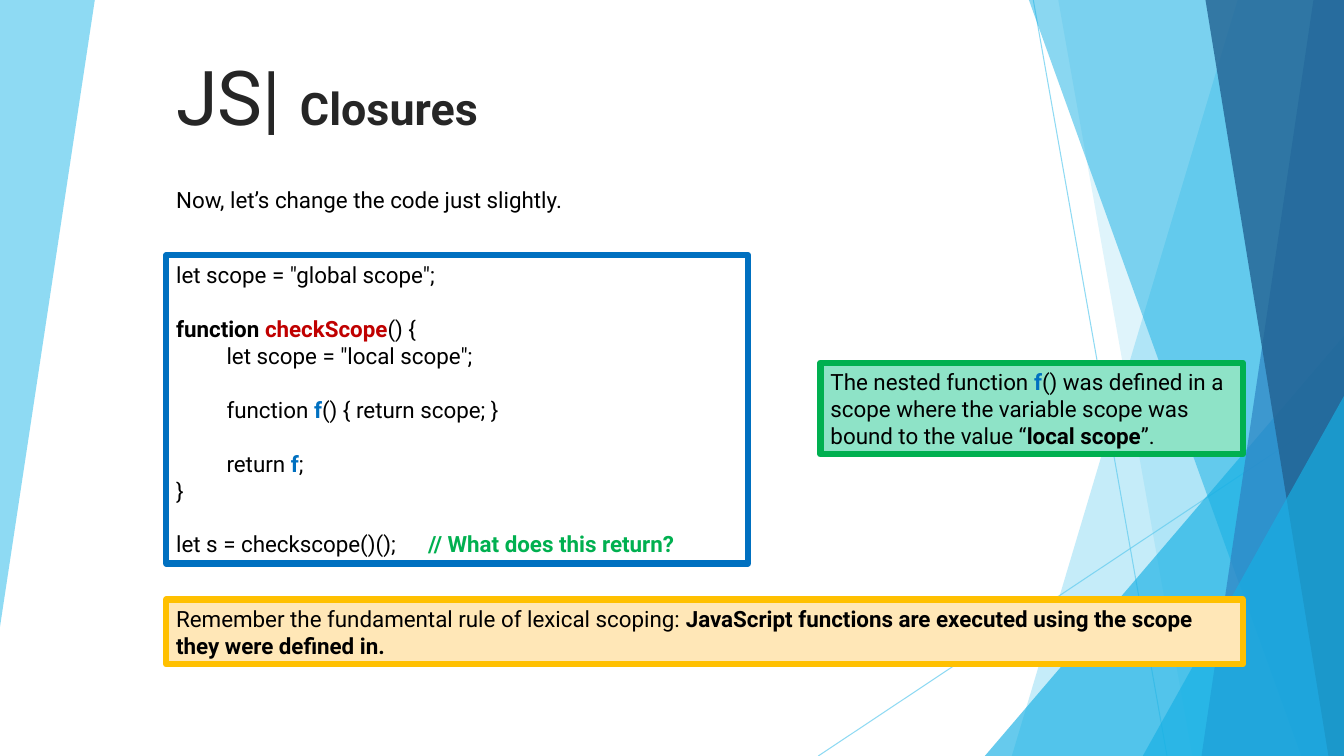
"""Build a slide on JavaScript closures with a faceted background."""
from dataclasses import dataclass

from lxml.etree import SubElement
from pptx import Presentation
from pptx.dml.color import RGBColor
from pptx.enum.shapes import MSO_CONNECTOR, MSO_SHAPE
from pptx.enum.text import MSO_ANCHOR, PP_ALIGN
from pptx.oxml.ns import qn
from pptx.util import Cm, Pt


@dataclass(frozen=True)
class Theme:
    """Colours, type sizes and measures of the slide."""
    font: str = "Roboto"
    title_size: int = 54
    subtitle_size: int = 32
    body_size: int = 16
    blank_line: float = 19.3
    frame_width: float = 4.5
    hairline: float = 0.75
    title: str = "262626"
    text: str = "000000"
    blue: str = "0070C0"
    red: str = "C00000"
    green: str = "00B050"
    amber: str = "FFC000"
    mint: str = "8EE3C7"
    cream: str = "FFE7B7"
    sky: str = "5FCBEF"
    cyan: str = "17B0E4"
    steel: str = "2E83C3"
    navy: str = "226292"


T = Theme()
WIDTH, HEIGHT = 33.87, 19.05
LEFT = 4.19
TAB_STOPS = (1.27, 6.35)


def rgb(color):
    """Return the colour object of a hex string."""
    return RGBColor.from_string(color)


def set_alpha(s, percent):
    """Give the one explicit colour of a shape its opacity."""
    clr = s.element.xpath(".//a:srgbClr")[0]
    SubElement(clr, qn("a:alpha")).set("val", str(percent * 1000))


def paint(s, color, alpha):
    """Fill a facet with a translucent colour and no outline."""
    s.shadow.inherit = False
    s.fill.solid()
    s.fill.fore_color.rgb = rgb(color)
    s.line.fill.background()
    set_alpha(s, alpha)


def add_facet(shapes, points, color, alpha):
    """Draw a translucent polygon through points in centimetres."""
    start, *rest = [(Cm(x), Cm(y)) for x, y in points]
    builder = shapes.build_freeform(*start)
    builder.add_line_segments(rest)
    paint(builder.convert_to_shape(), color, alpha)


def add_side_facet(shapes, top, bottom, color, alpha):
    """Draw a facet from a slanted edge to the right side of the slide."""
    points = [(top, 0), (WIDTH, 0), (WIDTH, HEIGHT), (bottom, HEIGHT)]
    add_facet(shapes, points, color, alpha)


def add_corner(shapes, x, y):
    """Draw a right triangle in the bottom right corner."""
    s = shapes.add_shape(MSO_SHAPE.ISOSCELES_TRIANGLE, Cm(x), Cm(y),
                         Cm(WIDTH - x), Cm(HEIGHT - y))
    s.adjustments[0] = 1
    paint(s, T.cyan, 66)


def add_ray(shapes, x1, y1, x2, y2):
    """Draw a thin translucent line."""
    s = shapes.add_connector(MSO_CONNECTOR.STRAIGHT, Cm(x1), Cm(y1), Cm(x2), Cm(y2))
    s.line.color.rgb = rgb(T.sky)
    s.line.width = Pt(T.hairline)
    set_alpha(s, 70)
    SubElement(s.element.spPr, qn("a:effectLst"))


def add_background(shapes):
    """Draw the facets and rays from back to front."""
    add_facet(shapes, [(0, 0), (2.39, 0), (0, 15.8)], T.sky, 70)
    add_ray(shapes, 26.04, 0, 29.41, HEIGHT)
    add_ray(shapes, WIDTH, 10.24, 20.62, HEIGHT)
    add_side_facet(shapes, 31.19, 25.5, T.sky, 36)
    add_side_facet(shapes, 26.67, 30.05, T.sky, 20)
    add_corner(shapes, 24.82, 8.46)
    add_side_facet(shapes, 25.93, 32.79, T.cyan, 50)
    add_side_facet(shapes, 33.1, 30.28, T.steel, 70)
    add_side_facet(shapes, 30.38, 33.48, T.navy, 80)
    add_corner(shapes, 28.8, 9.98)


def add_runs(p, runs, size=T.body_size, color=T.text):
    """Write runs, each a plain string or a (text, font settings) pair."""
    p.font.name = T.font
    p.font.size = Pt(size)
    p.font.color.rgb = rgb(color)
    for item in runs:
        text, look = (item, {}) if isinstance(item, str) else item
        r = p.add_run()
        r.text = text
        if "bold" in look:
            r.font.bold = look["bold"]
        if "color" in look:
            r.font.color.rgb = rgb(look["color"])
        if "size" in look:
            r.font.size = Pt(look["size"])


def bold(text, **look):
    """Return a bold run, with further font settings if given."""
    return text, {"bold": True, **look}


def add_text(shapes, x, y, w, h, runs, anchor=MSO_ANCHOR.TOP, **look):
    """Add a plain text box with one paragraph."""
    tf = shapes.add_textbox(Cm(x), Cm(y), Cm(w), Cm(h)).text_frame
    tf.word_wrap = True
    tf.vertical_anchor = anchor
    add_runs(tf.paragraphs[0], runs, **look)


def add_frame(shapes, x, y, w, h, border, fill=None):
    """Add a thickly outlined box and return its text frame."""
    s = shapes.add_shape(MSO_SHAPE.RECTANGLE, Cm(x), Cm(y), Cm(w), Cm(h))
    s.shadow.inherit = False
    if fill:
        s.fill.solid()
        s.fill.fore_color.rgb = rgb(fill)
    else:
        s.fill.background()
    s.line.color.rgb = rgb(border)
    s.line.width = Pt(T.frame_width)
    SubElement(s.element.spPr.find(qn("a:ln")), qn("a:round"))
    tf = s.text_frame
    tf.word_wrap = True
    tf.vertical_anchor = MSO_ANCHOR.MIDDLE
    tf.paragraphs[0].alignment = PP_ALIGN.LEFT
    return tf


def add_code(tf, blocks):
    """Write blocks of code lines, with a line's gap between blocks."""
    for b, block in enumerate(blocks):
        for n, runs in enumerate(block):
            p = tf.paragraphs[0] if b == n == 0 else tf.add_paragraph()
            p.alignment = PP_ALIGN.LEFT
            if b and n == 0:
                p.space_before = Pt(T.blank_line)
            tabs = SubElement(p._p.get_or_add_pPr(), qn("a:tabLst"))
            for stop in TAB_STOPS:
                SubElement(tabs, qn("a:tab"), pos=str(Cm(stop)), algn="l")
            add_runs(p, runs)


def main():
    """Build and save the slide."""
    prs = Presentation()
    prs.slide_width, prs.slide_height = Cm(WIDTH), Cm(HEIGHT)
    shapes = prs.slides.add_slide(prs.slide_layouts[6]).shapes
    add_background(shapes)

    add_text(shapes, LEFT, 4.57, 26.72, 0.94, ["Now, let’s change the code just slightly."])
    add_text(shapes, LEFT, 0.97, 21.56, 2.69,
             ["JS| ", bold("Closures", size=T.subtitle_size)],
             anchor=MSO_ANCHOR.BOTTOM, size=T.title_size, color=T.title)

    f = bold("f", color=T.blue)
    add_code(add_frame(shapes, LEFT, 6.43, 14.66, 7.77, T.blue), [
        [['let scope = "global scope";']],
        [[bold("function "), bold("checkScope", color=T.red), "() {"],
         ['\tlet scope = "local scope";']],
        [["\tfunction ", f, "() { return scope; }"]],
        [["\treturn ", f, ";"], ["}"]],
        [["let s = checkscope()();\t", bold("// What does this return?", color=T.green)]],
    ])

    rule = add_frame(shapes, LEFT, 15.11, 27.13, 1.63, T.amber, T.cream)
    add_runs(rule.paragraphs[0], [
        "Remember the fundamental rule of lexical scoping: ",
        bold("JavaScript functions are executed using the scope they were defined in.")])

    note = add_frame(shapes, 20.68, 9.14, 10.64, 2.31, T.green, T.mint)
    add_runs(note.paragraphs[0], [
        "The nested function ", f,
        "() was defined in a scope where the variable scope was bound to the value “",
        bold("local scope"), "”."])

    prs.save("out.pptx")


if __name__ == "__main__":
    main()
